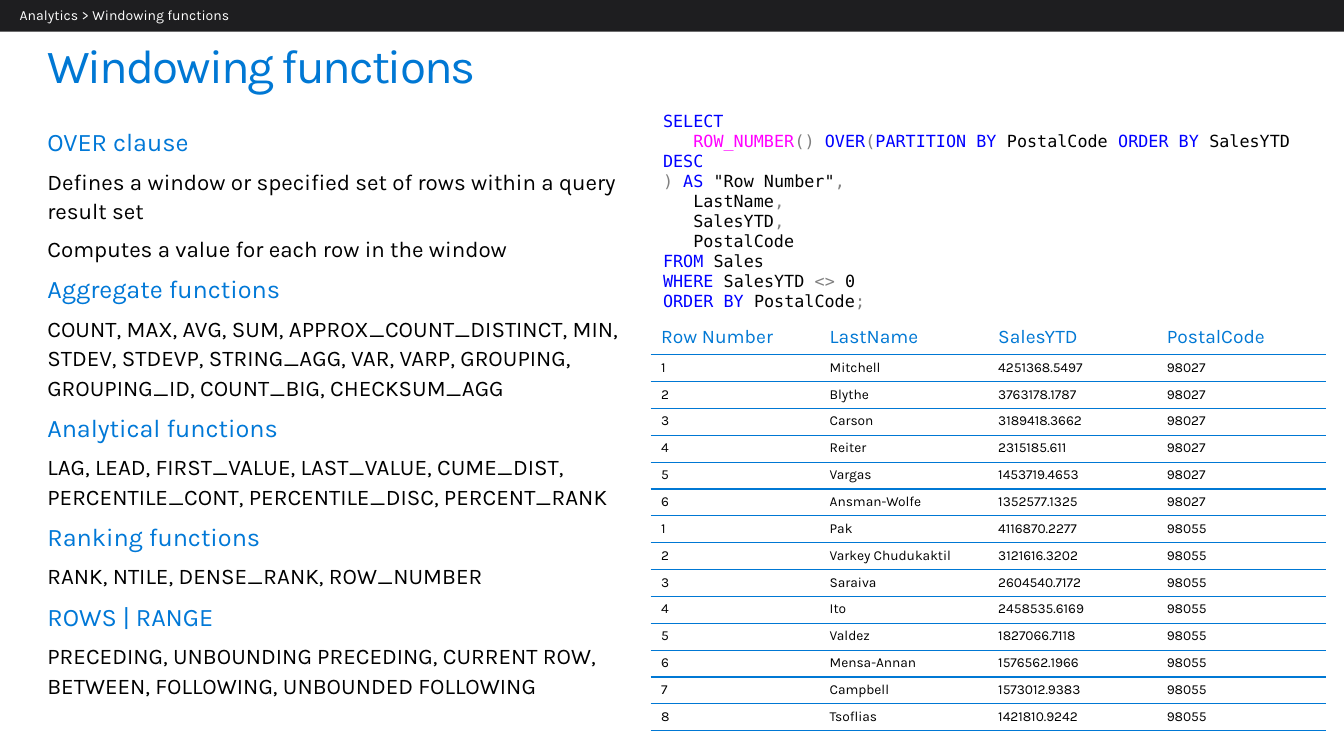
from lxml import etree
from pptx import Presentation
from pptx.dml.color import RGBColor
from pptx.enum.shapes import MSO_SHAPE
from pptx.enum.text import MSO_ANCHOR, MSO_AUTO_SIZE, PP_ALIGN
from pptx.oxml.ns import qn
from pptx.util import Pt

RECTANGLE = MSO_SHAPE.RECTANGLE
TOP, MIDDLE = MSO_ANCHOR.TOP, MSO_ANCHOR.MIDDLE
LEFT = PP_ALIGN.LEFT
NO_AUTOFIT = MSO_AUTO_SIZE.NONE

COLORS = {
    "heading": "0078D7",
    "accent": "0078D4",
    "text": "000000",
    "white": "FFFFFF",
    "bar": "1E1E20",
    "keyword": "0000FF",
    "function": "FF00FF",
    "symbol": "808080",
}
SANS, MONO = "Karla", "DejaVu Sans Mono"


def write(text, *, into, size, color="text", font=SANS, spacing=None):
    into.alignment = LEFT
    if spacing:
        into.line_spacing = spacing
    run = into.add_run()
    run.text = text
    run.font.name = font
    run.font.size = Pt(size)
    run.font.bold = False
    run.font.color.rgb = RGBColor.from_string(COLORS[color])
    return run


def add_border(cell, side, color):
    line = etree.SubElement(cell._tc.get_or_add_tcPr(), qn(f"a:ln{side}"), w=str(Pt(1)))
    fill = etree.SubElement(line, qn("a:solidFill"))
    etree.SubElement(fill, qn("a:srgbClr"), val=COLORS[color])


prs = Presentation()
prs.slide_width, prs.slide_height = Pt(979.2), Pt(550.8)
slide = prs.slides.add_slide(prs.slide_layouts[1])

title, topics = slide.placeholders
for placeholder, box, inset_top in (
    (title, (34.5, 18, 911, 59), 13),
    (topics, (34.5, 90, 423.5, 420.5), 0),
):
    placeholder.left, placeholder.top, placeholder.width, placeholder.height = map(Pt, box)
    frame = placeholder.text_frame
    frame.margin_left = frame.margin_right = frame.margin_bottom = 0
    frame.margin_top = Pt(inset_top)
    frame.vertical_anchor = TOP
    frame.auto_size = NO_AUTOFIT
    frame.word_wrap = True

title_run = write("Windowing functions", into=title.text_frame.paragraphs[0],
                  size=34.7, color="accent", spacing=0.9)
title_run.font._element.set("spc", "-150")

TOPICS = [
    ("OVER clause", [
        "Defines a window or specified set of rows within a query result set",
        "Computes a value for each row in the window",
    ]),
    ("Aggregate functions", [
        "COUNT, MAX, AVG, SUM, APPROX_COUNT_DISTINCT, MIN, STDEV, STDEVP, STRING_AGG, "
        "VAR, VARP, GROUPING, GROUPING_ID, COUNT_BIG, CHECKSUM_AGG",
    ]),
    ("Analytical functions", [
        "LAG, LEAD, FIRST_VALUE, LAST_VALUE, CUME_DIST, "
        "PERCENTILE_CONT, PERCENTILE_DISC, PERCENT_RANK",
    ]),
    ("Ranking functions", ["RANK, NTILE, DENSE_RANK, ROW_NUMBER"]),
    ("ROWS | RANGE", [
        "PRECEDING, UNBOUNDING PRECEDING, CURRENT ROW, "
        "BETWEEN, FOLLOWING, UNBOUNDED FOLLOWING",
    ]),
]
topic_lines = []
for heading, details in TOPICS:
    topic_lines.append((heading, 18.4, "heading"))
    topic_lines += [(detail, 16.3, "text") for detail in details]

for index, (text, size, color) in enumerate(topic_lines):
    frame = topics.text_frame
    paragraph = frame.add_paragraph() if index else frame.paragraphs[0]
    properties = paragraph._p.get_or_add_pPr()
    properties.set("marL", "0")
    properties.set("indent", "0")
    etree.SubElement(properties, qn("a:buNone"))
    paragraph.space_before = Pt(0)
    paragraph.space_after = Pt(6.1)
    write(text, into=paragraph, size=size, color=color, spacing=1.1)

QUERY = [
    [("SELECT", "keyword")],
    [("   ", "text"), ("ROW_NUMBER", "function"), ("() ", "symbol"), ("OVER", "keyword"),
     ("(", "symbol"), ("PARTITION BY ", "keyword"), ("PostalCode ", "text"),
     ("ORDER BY ", "keyword"), ("SalesYTD ", "text"), ("DESC", "keyword")],
    [(") ", "symbol"), ("AS", "keyword"), (' "Row Number"', "text"), (",", "symbol")],
    [("   LastName", "text"), (",", "symbol")],
    [("   SalesYTD", "text"), (",", "symbol")],
    [("   PostalCode", "text")],
    [("FROM", "keyword"), (" Sales", "text")],
    [("WHERE ", "keyword"), ("SalesYTD ", "text"), ("<>", "symbol"), (" 0", "text")],
    [("ORDER BY ", "keyword"), ("PostalCode", "text"), (";", "symbol")],
]
query = slide.shapes.add_textbox(Pt(476), Pt(77), Pt(489.6), Pt(143.3)).text_frame
query.word_wrap = True
for index, tokens in enumerate(QUERY):
    paragraph = query.add_paragraph() if index else query.paragraphs[0]
    for token, color in tokens:
        write(token, into=paragraph, size=12.2, color=color, font=MONO)

HEADER = ("Row Number", "LastName", "SalesYTD", "PostalCode")
SALES = {
    "98027": [
        ("Mitchell", "4251368.5497"),
        ("Blythe", "3763178.1787"),
        ("Carson", "3189418.3662"),
        ("Reiter", "2315185.611"),
        ("Vargas", "1453719.4653"),
        ("Ansman-Wolfe", "1352577.1325"),
    ],
    "98055": [
        ("Pak", "4116870.2277"),
        ("Varkey Chudukaktil", "3121616.3202"),
        ("Saraiva", "2604540.7172"),
        ("Ito", "2458535.6169"),
        ("Valdez", "1827066.7118"),
        ("Mensa-Annan", "1576562.1966"),
        ("Campbell", "1573012.9383"),
        ("Tsoflias", "1421810.9242"),
    ],
}
results = [HEADER]
for postal_code, people in SALES.items():
    for number, (name, sales) in enumerate(people, start=1):
        results.append((str(number), name, sales, postal_code))

HEADER_HEIGHT, ROW_HEIGHT, COLUMN_WIDTH = 24.5, 19.57, 122.8
result_table = slide.shapes.add_table(
    len(results), len(HEADER), Pt(474.5), Pt(234), Pt(COLUMN_WIDTH * len(HEADER)),
    Pt(HEADER_HEIGHT + ROW_HEIGHT * (len(results) - 1))).table
result_table.horz_banding = False
for column in result_table.columns:
    column.width = Pt(COLUMN_WIDTH)
for row_index, values in enumerate(results):
    is_header = row_index == 0
    result_table.rows[row_index].height = Pt(HEADER_HEIGHT if is_header else ROW_HEIGHT)
    for column_index, value in enumerate(values):
        cell = result_table.cell(row_index, column_index)
        top_color = "white" if is_header else "accent"
        for side, color in (("L", "white"), ("R", "white"), ("T", top_color), ("B", "accent")):
            add_border(cell, side, color)
        cell.fill.background()
        write(value, into=cell.text_frame.paragraphs[0], size=14 if is_header else 10,
              color="accent" if is_header else "text")

breadcrumb = slide.shapes.add_shape(RECTANGLE, 0, 0, prs.slide_width, Pt(23))
breadcrumb.shadow.inherit = False
breadcrumb.fill.solid()
breadcrumb.fill.fore_color.rgb = RGBColor.from_string(COLORS["bar"])
breadcrumb.line.fill.background()
frame = breadcrumb.text_frame
frame.margin_left = frame.margin_right = Pt(14.4)
frame.margin_top = frame.margin_bottom = Pt(11.5)
frame.vertical_anchor = MIDDLE
write("Analytics > Windowing functions", into=frame.paragraphs[0],
      size=10.2, color="white", spacing=0.9)

prs.save("out.pptx")
